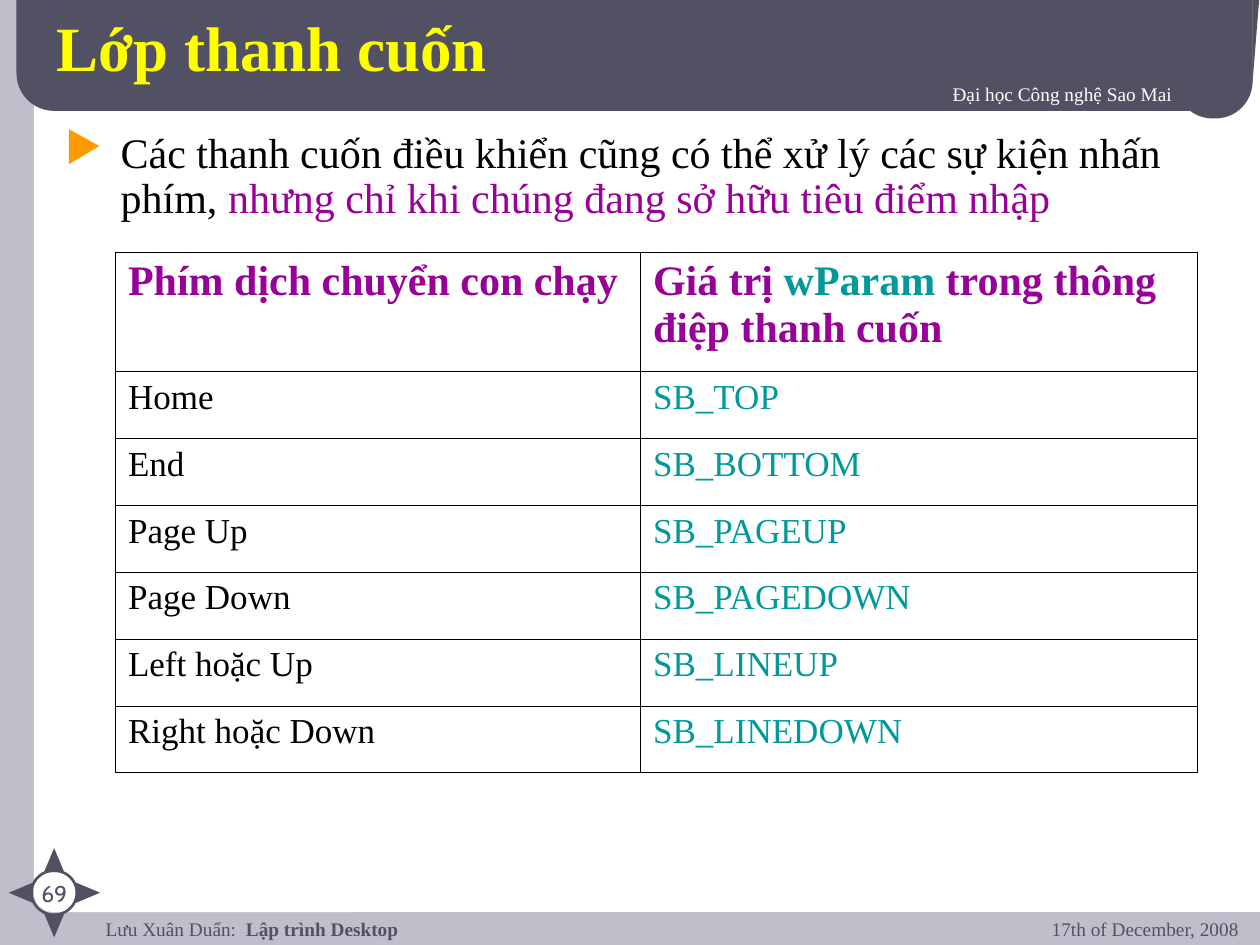
from lxml import etree
from pptx import Presentation
from pptx import util as u
from pptx.dml import color as dml
from pptx.enum import shapes, text
from pptx.oxml import parse_xml, ns

Pt = u.Pt
KIND = shapes.MSO_SHAPE
ALIGN = text.PP_ALIGN
COLORS = {
    "lavender": "BFBFCB", "slate": "515163", "white": "FFFFFF", "black": "000000",
    "yellow": "FFFF00", "orange": "FF9900", "purple": "990099", "teal": "009999",
}


def rgb(name):
    return dml.RGBColor.from_string(COLORS[name])


def write(frame, runs, insets=(7.2, 3.6), align=ALIGN.LEFT, hanging=0, shadow=False):
    """Write one paragraph; each run is a string and a dict of format values."""
    frame.word_wrap = True
    frame.margin_left = frame.margin_right = Pt(insets[0])
    frame.margin_top = frame.margin_bottom = Pt(insets[1])
    para = frame.paragraphs[0]
    para.alignment = align
    if hanging:
        properties = para._p.get_or_add_pPr()
        properties.set("marL", str(Pt(hanging)))
        properties.set("indent", str(-Pt(hanging)))
    for words, values in runs:
        span = para.add_run()
        span.text = words
        span.font.color.rgb = rgb(values["color"])
        for key, value in values.items():
            if key != "color":
                setattr(span.font, key, value)
        if shadow:
            fill = span._r.rPr.find(ns.qn("a:solidFill"))
            fill.addnext(parse_xml(
                f'<a:effectLst {ns.nsdecls("a")}><a:outerShdw dist="25400" dir="2700000">'
                '<a:srgbClr val="000000"/></a:outerShdw></a:effectLst>'))
    return para


def style(color, size, bold=False, name="Times New Roman"):
    return {"color": color, "size": Pt(size), "bold": bold, "name": name}


deck = Presentation()
deck.slide_width, deck.slide_height = Pt(720), Pt(540)
page = deck.slides.add_slide(deck.slide_layouts[6])
page.background.fill.solid()
page.background.fill.fore_color.rgb = rgb("lavender")

# White sheet, title band and compass points: kind, box, fill, corner, rotation
decorations = [
    (KIND.ROUNDED_RECTANGLE, (19.4, -9.4, 720.7, 530.6), "white", 0.02, 0),
    (KIND.ROUNDED_RECTANGLE, (9.4, -25.9, 706.3, 89.3), "slate", 0.24, 0),
    (KIND.ROUNDED_RECTANGLE, (671.8, 20.9, 43.9, 46.8), "slate", 0.48, 0),
    (KIND.RIGHT_TRIANGLE, (715.7, -5.8, 4.3, 54), "slate", None, 180),
    (KIND.ISOSCELES_TRIANGLE, (44.6, 503.3, 11.5, 13.7), "slate", None, 90),
    (KIND.ISOSCELES_TRIANGLE, (6.1, 503.3, 11.5, 13.7), "slate", None, 270),
    (KIND.ISOSCELES_TRIANGLE, (25.2, 484.6, 11.5, 13.7), "slate", None, 0),
    (KIND.ISOSCELES_TRIANGLE, (25.2, 522, 11.5, 13.7), "slate", None, 180),
]
for kind, box, fill, corner, rotation in decorations:
    shape = page.shapes.add_shape(kind, *map(Pt, box))
    shape.shadow.inherit = False
    shape.fill.solid()
    shape.fill.fore_color.rgb = rgb(fill)
    shape.line.fill.background()
    shape.rotation = rotation
    if corner is not None:
        shape.adjustments[0] = corner
    if kind == KIND.RIGHT_TRIANGLE:
        shape._element.spPr.xfrm.set("flipH", "1")

# Compass ring
ring = page.shapes.add_shape(KIND.OVAL, Pt(18), Pt(497.5), Pt(25.9), Pt(25.2))
ring.shadow.inherit = False
ring.fill.background()
ring.line.color.rgb = rgb("slate")
ring.line.width = Pt(1.5)

# Page number, header, footer and title
small = style("slate", 11)
labels = [
    ((10.1, 499, 41.8, 15.8), [("69", style("slate", 13, name="Cabin"))],
     {"align": ALIGN.CENTER}),
    ((53.3, 524.2, 557.3, 23.8),
     [("Lưu Xuân Duẩn:\u00a0 ".replace("\u00a0", " "), small),
      ("Lập trình Desktop", style("slate", 11, True))], {"insets": (7.2, 0)}),
    ((218.2, 43.2, 458.6, 27.4), [("Đại học Công nghệ Sao Mai", style("white", 11))],
     {"align": ALIGN.RIGHT, "shadow": True}),
    ((541.4, 520.6, 173.5, 30.2), [("17th of December, 2008", small)],
     {"align": ALIGN.RIGHT}),
    ((25.2, 5.8, 601.9, 41), [("Lớp thanh cuốn", style("yellow", 36, True))],
     {"shadow": True}),
]
for box, runs, options in labels:
    label = page.shapes.add_textbox(*map(Pt, box))
    write(label.text_frame, runs, **options)
label.text_frame.vertical_anchor = text.MSO_ANCHOR.MIDDLE

# Bulleted statement
body = page.shapes.add_textbox(Pt(30.2), Pt(72), Pt(666), Pt(59))
para = write(body.text_frame, [
    ("Các thanh cuốn điều khiển cũng có thể xử lý các sự kiện nhấn phím, ",
     style("black", 24)),
    ("nhưng chỉ khi chúng đang sở hữu tiêu điểm nhập", style("purple", 24)),
], hanging=31.7)
para.line_spacing = 0.9
para.space_before = Pt(15)
properties = para._p.get_or_add_pPr()
bullet_color = etree.SubElement(properties, ns.qn("a:buClr"))
etree.SubElement(bullet_color, ns.qn("a:srgbClr"), val=COLORS["orange"])
etree.SubElement(properties, ns.qn("a:buChar"), char="▶")

# Table of keys and scroll bar values
keys = [
    ("Home", "SB_TOP"), ("End", "SB_BOTTOM"), ("Page Up", "SB_PAGEUP"),
    ("Page Down", "SB_PAGEDOWN"), ("Left hoặc Up", "SB_LINEUP"),
    ("Right hoặc Down", "SB_LINEDOWN"),
]
heading = style("purple", 24, True)
rows = [([("Phím dịch chuyển con chạy", heading)],
         [("Giá trị ", heading), ("wParam", style("teal", 24, True)),
          (" trong thông điệp thanh cuốn", heading)])]
rows += [([(key, style("black", 20))], [(value, style("teal", 20))])
         for key, value in keys]

table = page.shapes.add_table(len(rows), 2, Pt(66), Pt(144), Pt(618), Pt(298)).table
table.first_row = table.horz_banding = False
for column, width in zip(table.columns, (300, 318)):
    column.width = Pt(width)
for r, cells in enumerate(rows):
    table.rows[r].height = Pt(38.2 if r else 68.5)
    for c, runs in enumerate(cells):
        cell = table.cell(r, c)
        cell.fill.background()
        cell.margin_left = cell.margin_right = Pt(7.2)
        cell.margin_top = cell.margin_bottom = Pt(3.6)
        write(cell.text_frame, runs, hanging=0 if len(runs) > 1 else 31.7)
        borders = cell._tc.get_or_add_tcPr()
        for place, side in enumerate(("lnL", "lnR", "lnT", "lnB")):
            borders.insert(place, parse_xml(
                f'<a:{side} {ns.nsdecls("a")} w="{Pt(0.45)}"><a:solidFill>'
                f'<a:srgbClr val="{COLORS["black"]}"/></a:solidFill></a:{side}>'))

deck.save("out.pptx")
